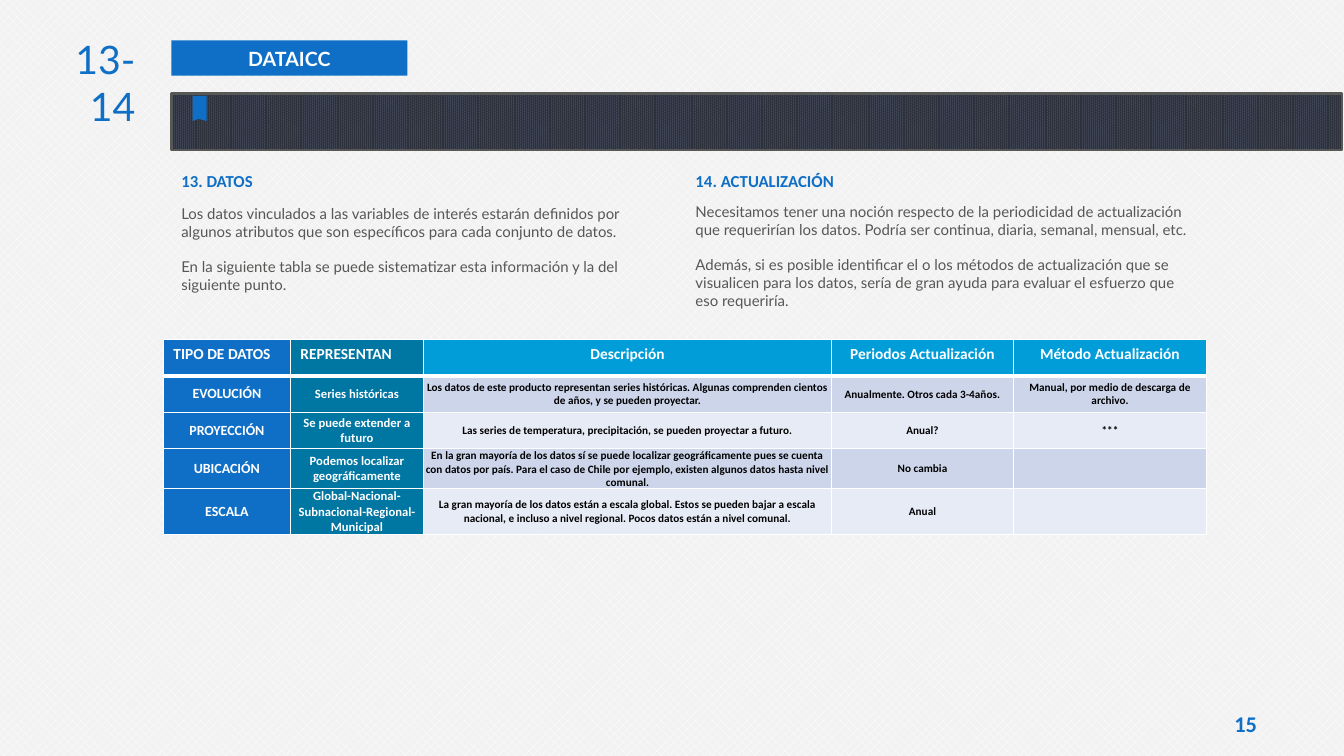
"""Build the DATAICC slide on data types and their updating."""
from lxml import etree
from pptx import Presentation
from pptx import util as u
from pptx.dml.color import RGBColor
from pptx.enum import dml, shapes, text
from pptx.oxml import ns

BLUE, TEAL, SKY, GREY, WHITE = "0F6FC6", "0076A3", "009DD9", "575756", "FFFFFF"
LEFT, CENTER, RIGHT = text.PP_ALIGN.LEFT, text.PP_ALIGN.CENTER, text.PP_ALIGN.RIGHT
TOP, MIDDLE = text.MSO_ANCHOR.TOP, text.MSO_ANCHOR.MIDDLE


def rgb(value):
    return RGBColor.from_string(value)


def write(tf, content, size=12, color=BLUE, font="Calibri", bold=False,
          align=LEFT, space=None, line=None):
    tf.word_wrap = True
    for i, part in enumerate(content.split("\n")):
        p = tf.add_paragraph() if i else tf.paragraphs[0]
        p.alignment = align
        if space is not None:
            p.space_before = p.space_after = u.Pt(space)
        if line is not None:
            p.line_spacing = line
        r = p.add_run()
        r.text = part
        r.font.size, r.font.name, r.font.bold = u.Pt(size), font, bold
        r.font.color.rgb = rgb(color)


prs = Presentation()
prs.slide_width, prs.slide_height = u.Inches(13.33), u.Inches(7.5)
s = prs.slides.add_slide(prs.slide_layouts[6])

tag = s.shapes.add_shape(shapes.MSO_SHAPE.RECTANGLE, u.Inches(1.7), u.Inches(0.4),
                         u.Inches(2.34), u.Inches(0.35))
tag.shadow.inherit = False
tag.fill.solid()
tag.fill.fore_color.rgb = rgb(BLUE)
tag.line.fill.background()
write(tag.text_frame, "DATAICC", 14, WHITE, "Lato", True, CENTER, line=1.1)

band = s.shapes.add_shape(shapes.MSO_SHAPE.RECTANGLE, u.Inches(1.7), u.Inches(0.93),
                          u.Inches(11.61), u.Inches(0.56))
band.shadow.inherit = False
band.line.color.rgb = rgb(GREY)
band.line.width = u.Pt(2)

for fill, pattern, fore, back in [(s.background.fill, "pct40", WHITE, "F2F2F2"),
                                  (band.fill, "pct90", "2D313C", "444A5A")]:
    fill.patterned()
    fill.pattern = dml.MSO_PATTERN.from_xml(pattern)
    fill.fore_color.rgb, fill.back_color.rgb = rgb(fore), rgb(back)

outline = [(u.Inches(x), u.Inches(y)) for x, y in
           [(2.05, 0.95), (2.05, 1.2), (1.97, 1.18), (1.91, 1.2), (1.91, 0.95)]]
builder = s.shapes.build_freeform(*outline[0], scale=1.0)
builder.add_line_segments(outline[1:], close=True)
ribbon = builder.convert_to_shape()
ribbon.shadow.inherit = False
ribbon.fill.solid()
ribbon.fill.fore_color.rgb = rgb(BLUE)
ribbon.line.fill.background()

heading = dict(bold=True)
body = dict(size=10.7, color=GREY, font="Lato", space=6)
boxes = [
    (0.3, 0.3, 1.14, 0.57, "13-14", dict(size=28, font="Lato", align=RIGHT)),
    (1.7, 1.64, 4.96, 0.3, "13. DATOS", heading),
    (1.7, 1.98, 4.92, 0.99,
     "Los datos vinculados a las variables de interés estarán definidos por algunos "
     "atributos que son específicos para cada conjunto de datos.\n"
     "En la siguiente tabla se puede sistematizar esta información y la del siguiente punto.",
     body),
    (6.8, 1.64, 4.74, 0.3, "14. ACTUALIZACIÓN", heading),
    (6.8, 1.96, 5.17, 1.17,
     "Necesitamos tener una noción respecto de la periodicidad de actualización que "
     "requerirían los datos. Podría ser continua, diaria, semanal, mensual, etc.\n"
     "Además, si es posible identificar el o los métodos de actualización que se visualicen "
     "para los datos, sería de gran ayuda para evaluar el esfuerzo que eso requeriría.",
     body),
    (12.05, 7, 0.61, 0.33, "15", dict(size=16, bold=True, align=CENTER)),
]
for x, y, w, h, content, style in boxes:
    sp = s.shapes.add_textbox(u.Inches(x), u.Inches(y), u.Inches(w), u.Inches(h))
    write(sp.text_frame, content, **style)

rows = [
    ["TIPO DE DATOS", "REPRESENTAN", "Descripción", "Periodos Actualización",
     "Método Actualización"],
    ["EVOLUCIÓN", "Series históricas",
     "Los datos de este producto representan series históricas. Algunas comprenden cientos "
     "de años, y se pueden proyectar.",
     "Anualmente. Otros cada 3-4años.", "Manual, por medio de descarga de archivo."],
    ["PROYECCIÓN", "Se puede extender a futuro",
     "Las series de temperatura, precipitación, se pueden proyectar a futuro.",
     "Anual?", "***"],
    ["UBICACIÓN", "Podemos localizar geográficamente",
     "En la gran mayoría de los datos sí se puede localizar geográficamente pues se cuenta "
     "con datos por país. Para el caso de Chile por ejemplo, existen algunos datos hasta "
     "nivel comunal.", "No cambia", ""],
    ["ESCALA", "Global-Nacional-Subnacional-Regional- Municipal",
     "La gran mayoría de los datos están a escala global. Estos se pueden bajar a escala "
     "nacional, e incluso a nivel regional. Pocos datos están a nivel comunal.", "Anual", ""],
]
widths = [1.26, 1.32, 4.05, 1.8, 1.92]
heights = [0.36, 0.36, 0.36, 0.4, 0.44]
sizes = [10, 9, 8, 8, 8]
table = s.shapes.add_table(len(rows), len(widths), u.Inches(1.62), u.Inches(3.37),
                           u.Inches(sum(widths)), u.Inches(sum(heights))).table
for column, width in zip(table.columns, widths):
    column.width = u.Inches(width)
for row, height in zip(table.rows, heights):
    row.height = u.Inches(height)

for i, row in enumerate(rows):
    for j, content in enumerate(row):
        cell = table.cell(i, j)
        header, label = i == 0, j < 2
        shade = SKY if header else "CCD5EA" if i % 2 else "E7EBF5"
        cell.fill.solid()
        cell.fill.fore_color.rgb = rgb([BLUE, TEAL][j] if label else shade)
        if not header:
            cell.margin_left = cell.margin_right = cell.margin_top = cell.margin_bottom = 0
        cell.vertical_anchor = TOP if header else MIDDLE
        if content:
            write(cell.text_frame, content, 11 if header else sizes[j],
                  WHITE if header or label else "000000", bold=True,
                  align=LEFT if header and label else CENTER)
        else:
            cell.text_frame.paragraphs[0].font.size = u.Pt(8)
        tcPr = cell._tc.get_or_add_tcPr()
        for k, side in enumerate("LRTB"):
            thick = (i, side) in [(0, "B"), (1, "T")]
            ln = etree.Element(ns.qn(f"a:ln{side}"), w=str(u.Pt(3 if thick else 1)))
            solid = etree.SubElement(ln, ns.qn("a:solidFill"))
            etree.SubElement(solid, ns.qn("a:srgbClr"), val=WHITE)
            tcPr.insert(k, ln)

prs.save("out.pptx")
